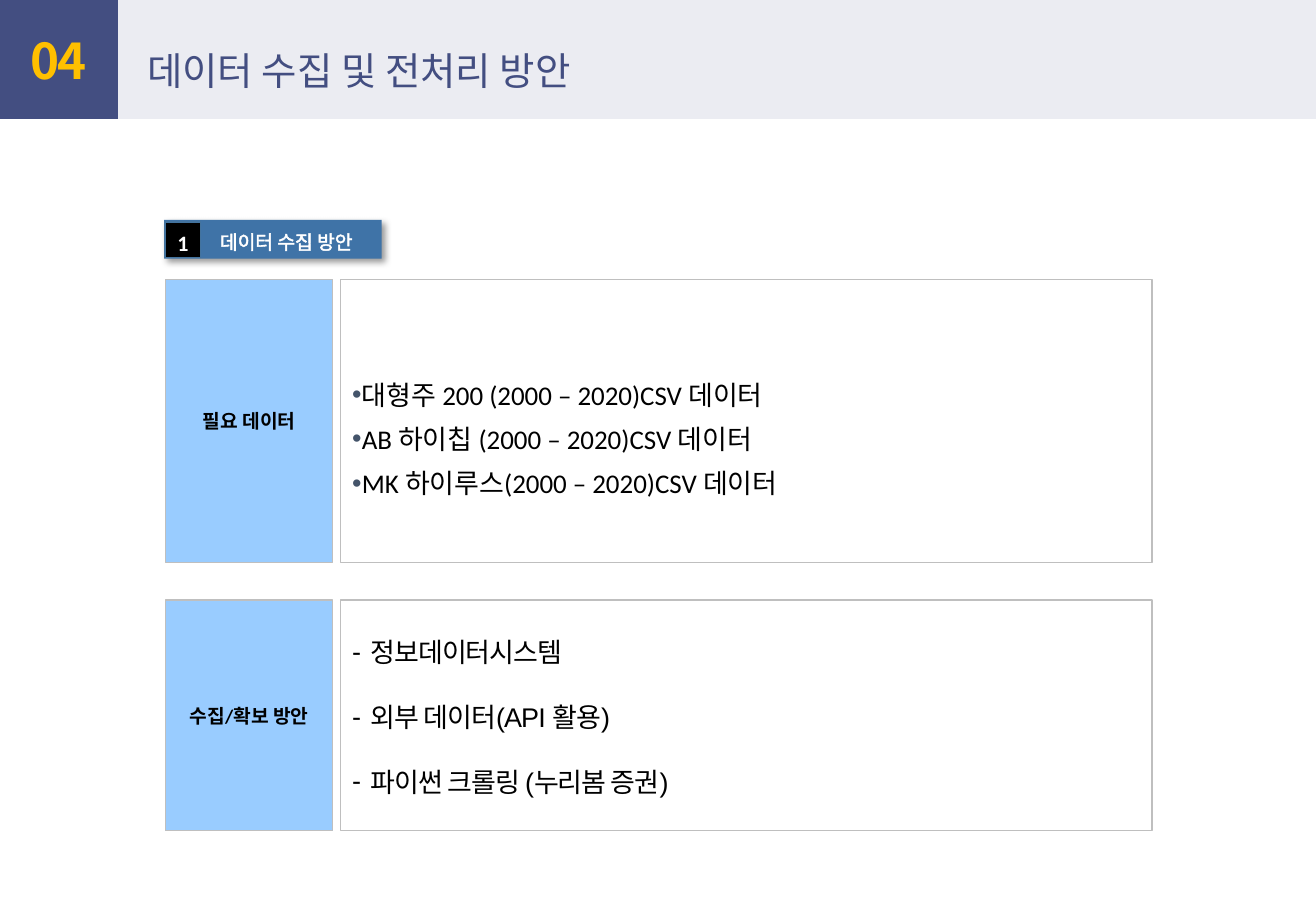
from lxml.etree import SubElement
from pptx import Presentation
from pptx.dml.color import RGBColor
from pptx.enum.shapes import MSO_SHAPE
from pptx.enum.text import MSO_ANCHOR, MSO_AUTO_SIZE, PP_ALIGN
from pptx.oxml import parse_xml
from pptx.oxml.ns import qn
from pptx.util import Inches, Pt

NS = 'xmlns:a="http://schemas.openxmlformats.org/drawingml/2006/main"'
KOREAN = "Noto Sans CJK KR"
NAVY, GRAY = "434E81", "BFBFBF"


def add_box(x, y, w, h, fill=None, line=None, width=0.75):
    sp = slide.shapes.add_shape(MSO_SHAPE.RECTANGLE, Inches(x), Inches(y), Inches(w), Inches(h))
    sp.shadow.inherit = False
    if fill:
        sp.fill.solid()
        sp.fill.fore_color.rgb = RGBColor.from_string(fill)
    else:
        sp.fill.background()
    if line:
        sp.line.color.rgb = RGBColor.from_string(line)
        sp.line.width = Pt(width)
    else:
        sp.line.fill.background()
    return sp


def write(sp, lines, size, color, font="Calibri", bold=False, align=PP_ALIGN.CENTER,
          inset=(0.1, 0.03), anchor=MSO_ANCHOR.MIDDLE, spacing=1.0, gap=0, tracking=0):
    """Fill a shape with one run per line; inset is (horizontal, vertical) in inches."""
    tf = sp.text_frame
    tf.word_wrap = True
    tf.auto_size = MSO_AUTO_SIZE.NONE
    tf.vertical_anchor = anchor
    tf.margin_left = tf.margin_right = Inches(inset[0])
    tf.margin_top = tf.margin_bottom = Inches(inset[1])
    for i, text in enumerate(lines):
        p = tf.add_paragraph() if i else tf.paragraphs[0]
        p.alignment = align
        p.line_spacing = spacing
        p.space_before = p.space_after = Pt(gap)
        r = p.add_run()
        r.text = text
        r.font.size = Pt(size)
        r.font.name = font
        r.font.bold = bold
        r.font.color.rgb = RGBColor.from_string(color)
        rPr = r.font._element
        SubElement(rPr, qn("a:ea")).set("typeface", KOREAN)
        if tracking:
            rPr.set("spc", str(round(tracking * 100)))
    return tf


prs = Presentation()
prs.slide_width, prs.slide_height = Inches(10.83), Inches(7.5)
slide = prs.slides.add_slide(prs.slide_layouts[5])

# Header
add_box(0, 0, 0.97, 0.98, NAVY)
band = add_box(0.97, 0, 9.86, 0.98, NAVY)
SubElement(band._element.spPr.find(".//" + qn("a:srgbClr")), qn("a:alpha")).set("val", "10000")
number = slide.shapes.add_textbox(Inches(0.14), Inches(0.17), Inches(0.69), Inches(0.65))
write(number, ["04"], 29.2, "FFC000", KOREAN, True, inset=(0.04, 0.05), tracking=-1.2)
title = slide.shapes.title
title.left, title.top, title.width, title.height = map(Inches, (1.11, 0.34, 6.7, 0.48))
write(title, ["데이터 수집 및 전처리 방안"], 22.8, NAVY, KOREAN, align=PP_ALIGN.LEFT, inset=(0.1, 0.05))

# Rows: a label cell and a content cell
data_items = ["대형주 200 (2000 – 2020)CSV 데이터",
              "AB 하이칩 (2000 – 2020)CSV 데이터",
              "MK 하이루스(2000 – 2020)CSV 데이터"]
source_items = ["정보데이터시스템", "외부 데이터(API 활용)", "파이썬 크롤링 (누리봄 증권)"]
data_style = dict(spacing=1.2, gap=1.6)
source_style = dict(font="Arial", spacing=2.0, tracking=-0.5, anchor=MSO_ANCHOR.TOP)
rows = [
    (2.3, 2.33, "필요 데이터", data_items, data_style, "•", "44546A", 0.08, 0.27),
    (4.94, 1.9, "수집/확보 방안", source_items, source_style, "-", "000000", 0.15, 0.03),
]
for y, h, label, items, style, bullet, bullet_color, indent, top in rows:
    write(add_box(1.36, y, 1.38, h, "99CCFF", GRAY), [label], 11.4, "000000", bold=True, gap=1.6)
    tf = write(add_box(2.8, y, 6.68, h, line=GRAY), items, 16, "000000", align=PP_ALIGN.LEFT, **style)
    tf.margin_top = Inches(top)
    for p in tf.paragraphs:
        pPr = p._p.get_or_add_pPr()
        pPr.set("marL", str(Inches(indent)))
        pPr.set("indent", str(-Inches(indent)))
        color = SubElement(pPr, qn("a:buClr"))
        SubElement(color, qn("a:srgbClr")).set("val", bullet_color)
        SubElement(pPr, qn("a:buFont")).set("typeface", "Arial")
        SubElement(pPr, qn("a:buChar")).set("char", bullet)

# Section tag
tag = add_box(1.35, 1.81, 1.79, 0.32, "3F73A7")
tag._element.spPr.find(qn("a:effectLst")).append(parse_xml(
    f'<a:outerShdw {NS} blurRad="{Pt(4)}" dist="{Pt(3)}" dir="2700000" algn="tl" rotWithShape="0">'
    '<a:srgbClr val="000000"><a:alpha val="40000"/></a:srgbClr></a:outerShdw>'))
tf = write(tag, ["데이터 수집 방안"], 11.4, "FFFFFF", spacing=1.2)
tf.margin_left = Inches(0.32)
tf.paragraphs[0].runs[0].font._element.insert(0, parse_xml(
    f'<a:ln {NS} w="{Pt(0.75)}"><a:solidFill><a:srgbClr val="FFFFFF"/></a:solidFill></a:ln>'))
write(add_box(1.36, 1.83, 0.29, 0.29, "000000", "43739E", 1), ["1"], 13, "FFFFFF", bold=True,
      inset=(0, 0), spacing=1.2)

prs.save("out.pptx")
